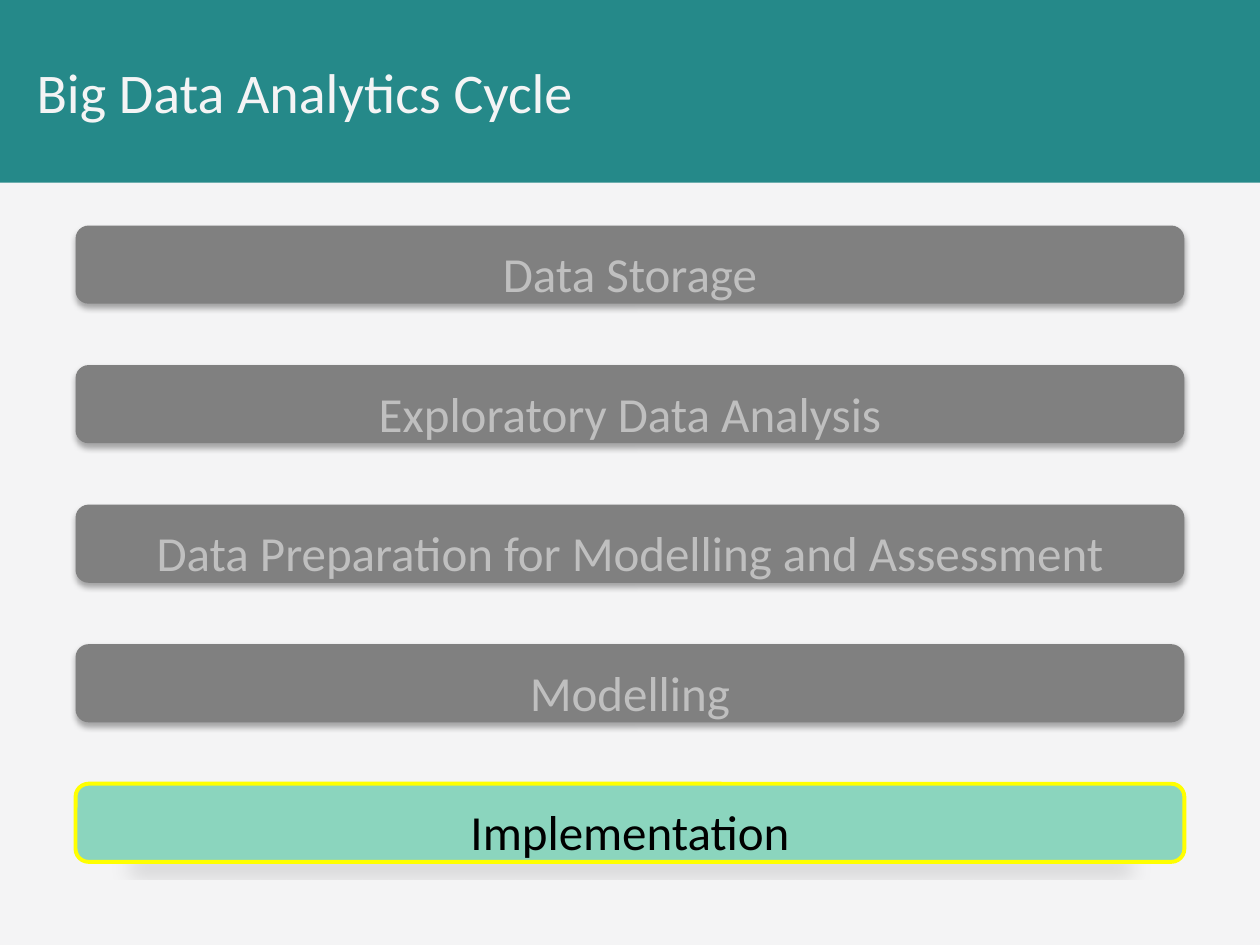
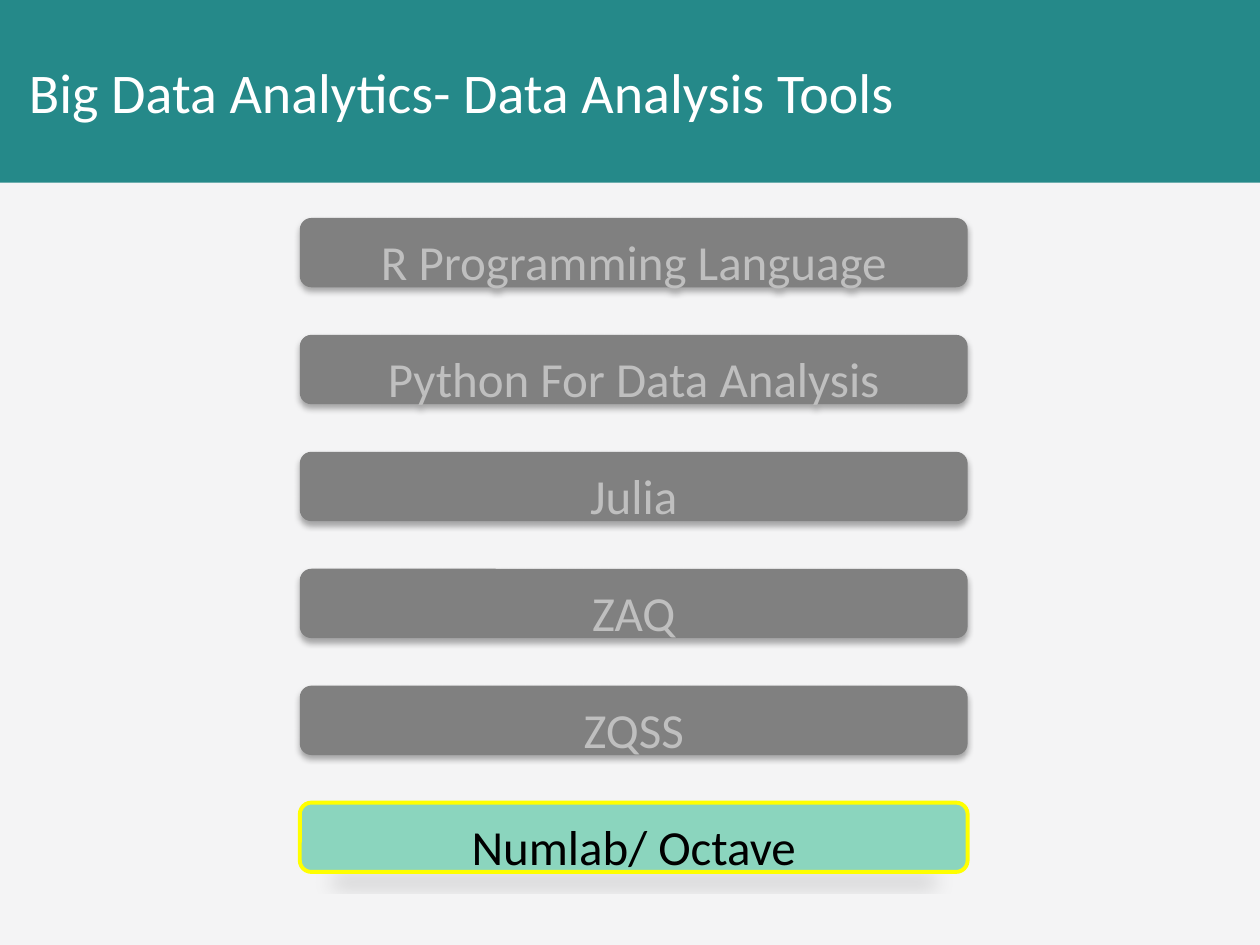
from lxml import etree
from pptx import Presentation
from pptx import util as u
from pptx.dml.color import RGBColor
from pptx.enum import shapes, text
from pptx.oxml import ns

# Content: title, its place and colour, then the bars from top to bottom
# (the last bar is the current step)
SLIDES = [
    dict(
        title="Big Data Analytics Cycle", left=0.19, width=8.8, color="pale",
        bars=["Data Storage", "Exploratory Data Analysis",
              "Data Preparation for Modelling and Assessment",
              "Modelling", "Implementation"],
        x=0.6, w=8.8, h=0.62, first=1.79, last=6.22,
    ),
    dict(
        title="Big Data Analytics- Data Analysis Tools",
        left=0.13, width=8.86, color="white",
        bars=["R Programming Language", "Python For Data Analysis", "Julia",
              "ZAQ", "ZQSS", "Numlab/ Octave"],
        x=2.38, w=5.3, h=0.55, first=1.73, last=6.37,
    ),
]


# Theme
class Theme:
    font = "Calibri"
    head, body = 32, 28
    band = 1.45
    colors = dict(pale="F4F4F5", white="FFFFFF", teal="258989", gray="808080",
                  dim="BFBFBF", mint="8BD5BE", yellow="FFFF00", black="000000")
    # Shadows: opacity in percent, blur and distance in points, scale
    near = dict(alpha=32, blur=3.5, dist=2.2)
    floor = dict(alpha=15, blur=12, dist=25, sx=90, sy=-19)
    # Bar looks: fill, text colour, line, shadow
    idle = ("gray", "dim", None, near)
    live = ("mint", "black", "yellow", floor)


def color(name):
    return RGBColor.from_string(Theme.colors[name])


def put(shape, words, size, ink, align, anchor, space=None, inset=None):
    """Write one formatted paragraph into a shape."""
    frame = shape.text_frame
    frame.word_wrap = True
    frame.vertical_anchor = anchor
    if inset:
        (frame.margin_left, frame.margin_top,
         frame.margin_right, frame.margin_bottom) = map(u.Inches, inset)
    para = frame.paragraphs[0]
    para.alignment = align
    if space:
        para.line_spacing = space
    run = para.add_run()
    run.text = words
    font = run.font
    font.name, font.size = Theme.font, u.Pt(size)
    font.color.rgb = color(ink)


def box(slide, kind, at, fill, line=None):
    shape = slide.shapes.add_shape(kind, *map(u.Inches, at))
    shape.shadow.inherit = False
    shape.fill.solid()
    shape.fill.fore_color.rgb = color(fill)
    if line:
        shape.line.color.rgb = color(line)
        shape.line.width = u.Pt(2.25)
    else:
        shape.line.fill.background()
    return shape


def shade(shape, alpha, blur, dist, sx=100, sy=100):
    """Drop a black shadow straight down."""
    effects = shape.element.spPr.find(ns.qn("a:effectLst"))
    outer = etree.SubElement(
        effects, ns.qn("a:outerShdw"), blurRad=str(u.Pt(blur)),
        dist=str(u.Pt(dist)), dir="5400000", sx=str(sx * 1000),
        sy=str(sy * 1000), algn="ctr" if sy < 0 else "t", rotWithShape="0")
    black = etree.SubElement(outer, ns.qn("a:srgbClr"),
                             val=Theme.colors["black"])
    etree.SubElement(black, ns.qn("a:alpha"), val=str(alpha * 1000))


def add_band(slide, layout):
    """Place the title band behind everything on the layout."""
    band = box(slide, shapes.MSO_SHAPE.RECTANGLE,
               (0, 0, 10, Theme.band), "teal")
    band.element.nvSpPr.cNvPr.set("id", "99")
    layout.shapes.element.insert(2, band.element)


def add_title(slide, part):
    title = slide.shapes.title
    title.left, title.top, title.width, title.height = map(
        u.Inches, (part["left"], 0, part["width"], Theme.band))
    put(title, part["title"], Theme.head, part["color"],
        text.PP_ALIGN.LEFT, text.MSO_ANCHOR.MIDDLE)


def add_bars(slide, part):
    bars = part["bars"]
    step = (part["last"] - part["first"]) / (len(bars) - 1)
    for i, words in enumerate(bars):
        look = Theme.live if i == len(bars) - 1 else Theme.idle
        fill, ink, line, shadow = look
        at = (part["x"], part["first"] + i * step, part["w"], part["h"])
        bar = box(slide, shapes.MSO_SHAPE.ROUNDED_RECTANGLE, at, fill, line)
        shade(bar, **shadow)
        put(bar, words, Theme.body, ink, text.PP_ALIGN.CENTER,
            text.MSO_ANCHOR.TOP, space=1.5, inset=(0.1, 0.2, 0.1, 1))


def main():
    deck = Presentation()
    deck.slide_width, deck.slide_height = u.Inches(10), u.Inches(7.5)

    # Shared background and layout
    back = deck.slide_master.background.fill
    back.solid()
    back.fore_color.rgb = color("pale")
    layout = deck.slide_layouts.get_by_name("Title Only")

    # Slides
    for i, part in enumerate(SLIDES):
        slide = deck.slides.add_slide(layout)
        if i == 0:
            add_band(slide, layout)
        add_title(slide, part)
        add_bars(slide, part)

    deck.save("out.pptx")


if __name__ == "__main__":
    main()
